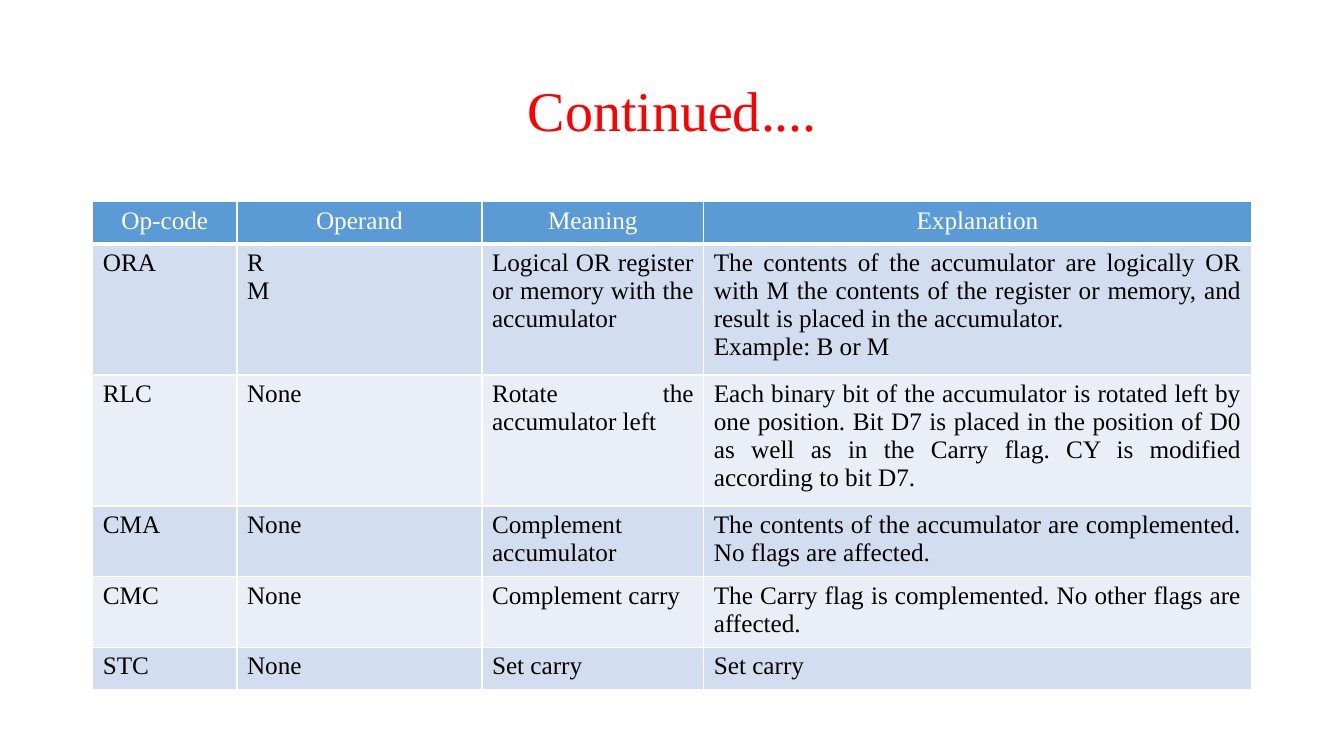
import pptx
import pptx.dml.color
import pptx.enum.text
import pptx.oxml
import pptx.oxml.ns
import pptx.util
from pptx.util import Inches

FONT = "Times New Roman"
ALIGN = pptx.enum.text.PP_ALIGN
HEADINGS = ["Op-code", "Operand", "Meaning", "Explanation"]
INSTRUCTIONS = [
    ["ORA", "R\nM", "Logical OR register or memory with the accumulator",
     "The contents of the accumulator are logically OR with M the contents of "
     "the register or memory, and result is placed in the accumulator.\n"
     "Example: B or M"],
    ["RLC", "None", "Rotate the accumulator left",
     "Each binary bit of the accumulator is rotated left by one position. "
     "Bit D7 is placed in the position of D0 as well as in the Carry flag. "
     "CY is modified according to bit D7."],
    ["CMA", "None", "Complement accumulator",
     "The contents of the accumulator are complemented. No flags are affected."],
    ["CMC", "None", "Complement carry",
     "The Carry flag is complemented. No other flags are affected."],
    ["STC", "None", "Set carry", "Set carry"],
]
COLUMN_WIDTHS = [1.43, 2.43, 2.2, 5.43]
ROW_HEIGHT = 0.42


def rgb(color):
    return pptx.dml.color.RGBColor.from_string(color)


def style_text(frame, size, color, align):
    for paragraph in frame.paragraphs:
        paragraph.alignment = align
        paragraph.font.name = FONT
        paragraph.font.size = pptx.util.Pt(size)
        paragraph.font.bold = False
        paragraph.font.color.rgb = rgb(color)


def add_border(cell, side, width, color):
    cell._tc.get_or_add_tcPr().append(pptx.oxml.parse_xml(
        f'<a:ln{side} {pptx.oxml.ns.nsdecls("a")} w="{pptx.util.Pt(width)}">'
        f'<a:solidFill><a:srgbClr val="{color}"/></a:solidFill></a:ln{side}>'))


def add_title(slide, left, top, width, height):
    title = slide.shapes.add_textbox(
        Inches(left), Inches(top), Inches(width), Inches(height)).text_frame
    title.word_wrap = True
    title.vertical_anchor = pptx.enum.text.MSO_ANCHOR.MIDDLE
    title.text = "Continued...."
    title.paragraphs[0].line_spacing = 0.9
    style_text(title, 40, "FF0000", ALIGN.CENTER)


def fill_cell(cell, text, row):
    header = row == 0
    cell.text = text
    style_text(cell.text_frame, 18, "FFFFFF" if header else "000000",
               ALIGN.CENTER if header else ALIGN.JUSTIFY)
    for side in "LRTB":
        heavy = (row, side) in [(0, "B"), (1, "T")]
        add_border(cell, side, 3 if heavy else 1, "FFFFFF")
    cell.fill.solid()
    band = "D2DEEF" if row % 2 else "EAEFF7"
    cell.fill.fore_color.rgb = rgb("5B9BD5" if header else band)


def add_instruction_table(slide, left, top, width, height):
    rows = [HEADINGS] + INSTRUCTIONS
    frame = slide.shapes.add_table(
        len(rows), len(HEADINGS),
        Inches(left), Inches(top), Inches(width), Inches(height))
    table = frame.table
    for column, column_width in zip(table.columns, COLUMN_WIDTHS):
        column.width = Inches(column_width)
    for row, texts in enumerate(rows):
        table.rows[row].height = Inches(ROW_HEIGHT)
        for column, text in enumerate(texts):
            fill_cell(table.cell(row, column), text, row)
    frame.height = Inches(height)


def main():
    deck = pptx.Presentation()
    deck.slide_width = Inches(13.33)
    deck.slide_height = Inches(7.5)
    slide = deck.slides.add_slide(deck.slide_layouts[6])
    add_title(slide, 0.92, 0.4, 11.5, 1.45)
    add_instruction_table(slide, 0.92, 2, 11.5, 4.83)
    deck.save("out.pptx")


if __name__ == "__main__":
    main()
